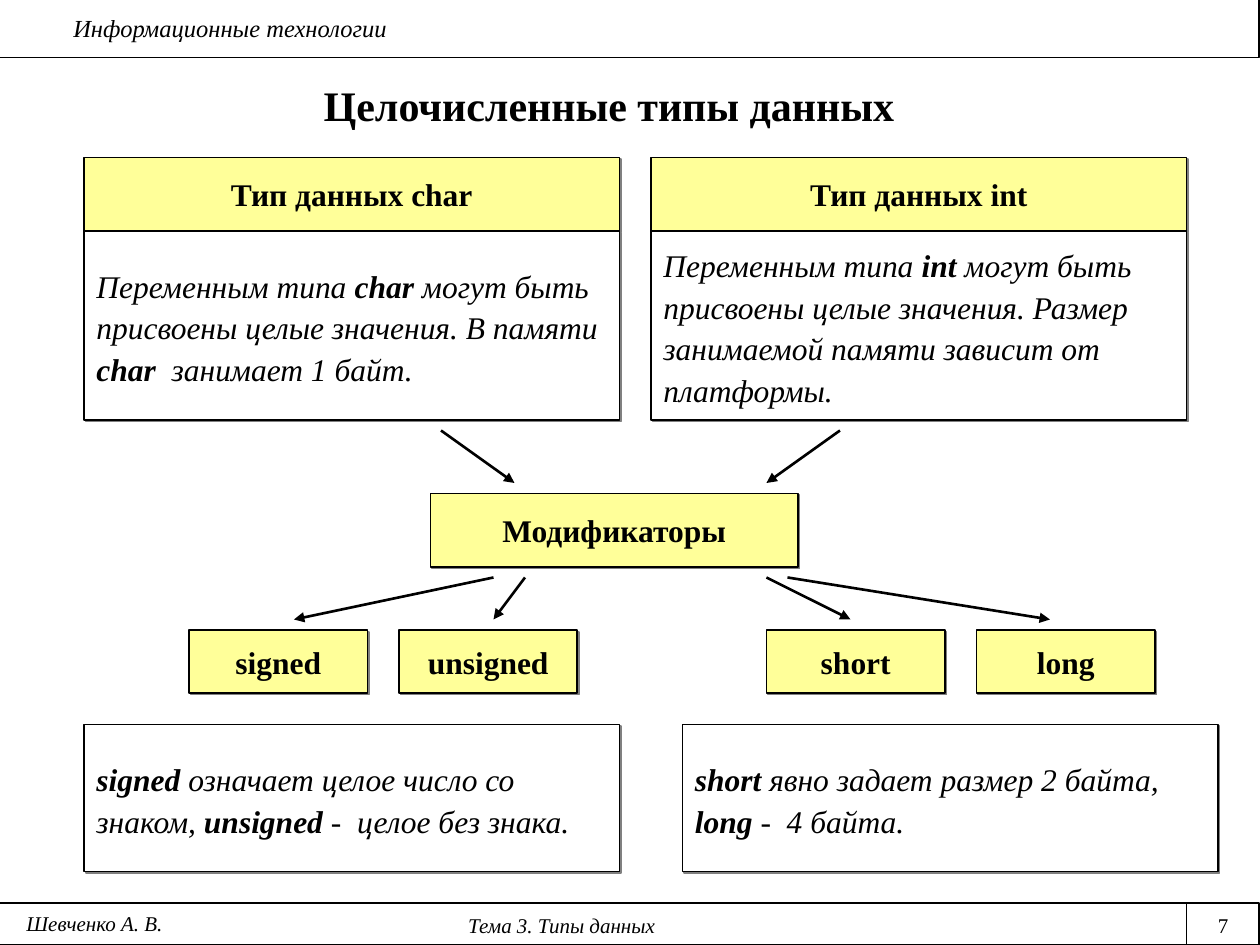
from typing import NamedTuple

from lxml.etree import SubElement
from pptx import Presentation
from pptx.dml.color import RGBColor
from pptx.enum.shapes import MSO_CONNECTOR as Connector, MSO_SHAPE as Preset
from pptx.enum.text import MSO_ANCHOR as Anchor, PP_ALIGN as Align
from pptx.oxml.ns import qn
from pptx.util import Pt

PX = 7620
FONT = "Times New Roman"
BLACK = RGBColor(0, 0, 0)
WHITE = RGBColor(255, 255, 255)
YELLOW = RGBColor(255, 255, 153)
SHADOW = RGBColor(128, 128, 128)


class Box(NamedTuple):
    left: int
    top: int
    width: int
    height: int


class Span(NamedTuple):
    text: str
    bold: bool = False


class Card(NamedTuple):
    box: Box
    spans: list[Span]


class Label(NamedTuple):
    box: Box
    text: str
    size: int
    align: Align = Align.CENTER
    bold: bool = False
    italic: bool = True
    anchor: Anchor = Anchor.TOP


class Arrow(NamedTuple):
    x1: int
    y1: int
    x2: int
    y2: int


def emu(lengths: tuple) -> list[int]:
    return [length * PX for length in lengths]


def write(shape, spans: list[Span], size: int, align: Align, bold: bool | None,
          italic: bool, anchor: Anchor, spacing: float = 1.0) -> None:
    frame = shape.text_frame
    frame.word_wrap = True
    frame.vertical_anchor = anchor
    paragraph = frame.paragraphs[0]
    paragraph.alignment = align
    paragraph.line_spacing = spacing
    font = paragraph.font
    font.name, font.size, font.bold, font.italic = FONT, Pt(size), bold, italic
    font.color.rgb = BLACK
    for span in spans:
        run = paragraph.add_run()
        run.text = span.text
        if bold is None:
            run.font.bold = span.bold


def add_panel(slide, box: Box, fill: RGBColor, weight: float):
    panel = slide.shapes.add_shape(Preset.RECTANGLE, *emu(box))
    panel.shadow.inherit = False
    panel.fill.solid()
    panel.fill.fore_color.rgb = fill
    panel.line.color.rgb = BLACK
    panel.line.width = Pt(weight)
    return panel


def add_shadowed(slide, box: Box, fill: RGBColor):
    panel = add_panel(slide, box, fill, 1)
    effects = panel._element.spPr.find(qn("a:effectLst"))
    shadow = SubElement(effects, qn("a:outerShdw"), dist=str(Pt(1.4)), dir="2700000",
                        algn="ctr", rotWithShape="0")
    SubElement(shadow, qn("a:srgbClr"), val=str(SHADOW))
    return panel


def add_heading(slide, box: Box, text: str) -> None:
    write(add_shadowed(slide, box, YELLOW), [Span(text)], 18, Align.CENTER,
          True, False, Anchor.MIDDLE)


def add_card(slide, card: Card) -> None:
    write(add_shadowed(slide, card.box, WHITE), card.spans, 18, Align.LEFT,
          None, True, Anchor.MIDDLE, 1.1)


def add_label(slide, label: Label) -> None:
    holder = slide.shapes.add_textbox(*emu(label.box))
    write(holder, [Span(label.text)], label.size, label.align, label.bold,
          label.italic, label.anchor)


def add_line(slide, ends: Arrow, weight: float, pointed: bool) -> None:
    line = slide.shapes.add_connector(Connector.STRAIGHT, *emu(ends))
    line.line.color.rgb = BLACK
    line.line.width = Pt(weight)
    if pointed:
        SubElement(line.line._get_or_add_ln(), qn("a:tailEnd"), type="triangle")
    SubElement(line._element.spPr, qn("a:effectLst"))


LABELS = [
    Label(Box(58, 7, 1130, 41), "Информационные технологии", 14, Align.LEFT),
    Label(Box(0, 863, 1070, 36), "Тема 3. Типы данных", 12),
    Label(Box(1130, 863, 70, 36), "7", 12, italic=False),
    Label(Box(30, 70, 1100, 60), "Целочисленные типы данных", 24,
          bold=True, italic=False, anchor=Anchor.MIDDLE),
    Label(Box(0, 861, 180, 36), "Шевченко А. В.", 12),
]
HEADINGS = {
    "Тип данных char": Box(80, 150, 510, 70),
    "Тип данных int": Box(620, 150, 510, 70),
    "Модификаторы": Box(410, 470, 350, 70),
}
MODIFIERS = {"signed": 180, "unsigned": 380, "short": 730, "long": 930}
CARDS = [
    Card(Box(80, 220, 510, 180), [
        Span("Переменным типа "), Span("char ", True),
        Span("могут быть присвоены целые значения. В памяти "),
        Span("char ", True), Span(" занимает 1 байт.")]),
    Card(Box(620, 220, 510, 180), [
        Span("Переменным типа "), Span("int ", True),
        Span("могут быть присвоены целые значения. "
             "Размер занимаемой памяти зависит от платформы.")]),
    Card(Box(80, 690, 510, 140), [
        Span("signed", True), Span(" означает целое число со знаком, "),
        Span("unsigned", True), Span(" -  целое без знака.")]),
    Card(Box(650, 690, 510, 140), [
        Span("short", True), Span(" явно задает размер 2 байта, "),
        Span("long", True), Span(" -  4 байта.")]),
]
TYPE_ARROWS = [Arrow(x1, 410, x2, 460) for x1, x2 in [(420, 490), (800, 730)]]
MODIFIER_ARROWS = [Arrow(x1, 550, x2, 590) for x1, x2 in
                   [(730, 810), (750, 1000), (470, 280), (500, 470)]]


def main() -> None:
    deck = Presentation()
    deck.slide_width, deck.slide_height = emu((1200, 900))
    slide = deck.slides.add_slide(deck.slide_layouts[6])
    for band in (Box(-1, 860, 1200, 40), Box(-1, -1, 1200, 56)):
        add_panel(slide, band, WHITE, 0.75)
    add_line(slide, Arrow(1130, 860, 1130, 900), 0.75, False)
    for label in LABELS:
        add_label(slide, label)
    for text, box in HEADINGS.items():
        add_heading(slide, box, text)
    for text, left in MODIFIERS.items():
        add_heading(slide, Box(left, 600, 170, 60), text)
    for card in CARDS:
        add_card(slide, card)
    for arrow in TYPE_ARROWS + MODIFIER_ARROWS:
        add_line(slide, arrow, 1.5, True)
    deck.save("out.pptx")


if __name__ == "__main__":
    main()
